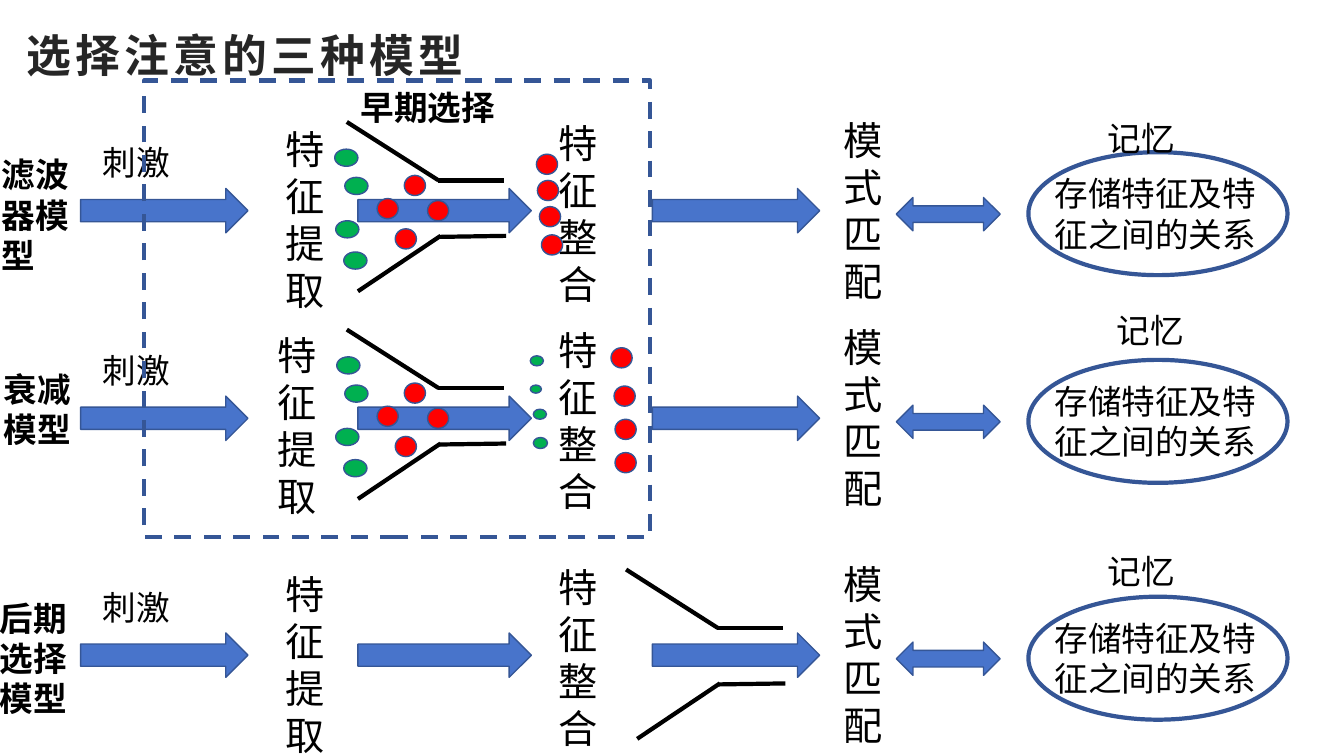
from pptx import Presentation
from pptx.dml.color import RGBColor
from pptx.enum.dml import MSO_LINE
from pptx.enum.lang import MSO_LANGUAGE_ID
from pptx.enum.shapes import MSO_CONNECTOR, MSO_SHAPE
from pptx.enum.text import MSO_ANCHOR, MSO_AUTO_SIZE
from pptx.oxml.ns import qn
from pptx.util import Pt
from lxml import etree

PX = 9144  # 100 px to the inch

STRAIGHT = MSO_CONNECTOR.STRAIGHT
ELLIPSE = MSO_SHAPE.OVAL
RECTANGLE = MSO_SHAPE.RECTANGLE
RIGHT_ARROW = MSO_SHAPE.RIGHT_ARROW
DOUBLE_ARROW = MSO_SHAPE.LEFT_RIGHT_ARROW
DASH = MSO_LINE.DASH
MIDDLE = MSO_ANCHOR.MIDDLE
GROW = MSO_AUTO_SIZE.SHAPE_TO_FIT_TEXT
CHINESE = MSO_LANGUAGE_ID.SIMPLIFIED_CHINESE

BLACK = RGBColor(0x00, 0x00, 0x00)
TITLE_GRAY = RGBColor(0x26, 0x26, 0x26)
BLUE = RGBColor(0x48, 0x74, 0xCB)
DARK_BLUE = RGBColor(0x35, 0x56, 0x96)
RED = RGBColor(0xFF, 0x00, 0x00)
GREEN = RGBColor(0x00, 0xB0, 0x50)

STAGE = {"size": Pt(28)}
LABEL = {"size": Pt(24)}
BOLD_LABEL = {"size": Pt(24), "bold": True}
TITLE = {"size": Pt(32), "bold": True}

RED_SIZE = (21, 20)
GREEN_SIZE = (23, 17)

# Each row: model name and its box, vertical shift from the first row,
# left and top of the feature extraction text, left and top of the memory label.
ROWS = [
    ("滤波器模型", (-8, 148, 100, 131), 0, (273, 119), (1089, 112)),
    ("衰减模型", (-6, 361, 96, 91), 206, (265, 324), (1098, 303)),
    ("后期选择模型", (-10, 588, 102, 131), 441, (273, 561), (1089, 542)),
]
ROW_ARROWS = [(80, 166), (355, 172), (647, 166)]

FUNNEL = [(0, 0, 91, 58), (11, 168, 93, 113),
          (90, 58, 156, 58), (92, 114, 158, 113)]

RED_IN_FUNNEL = [(374, 197), (401, 174), (392, 227), (424, 199)]
GREEN_IN_FUNNEL = [(342, 176), (333, 219), (341, 250)]
RED_PASSED = [(532, 153), (533, 179), (535, 205), (537, 233)]
RED_KEPT = [(606, 345), (609, 383), (610, 416), (610, 449)]
GREEN_WEAKENED = [(526, 353, 13, 10), (526, 382, 11, 8),
                  (529, 406, 13, 10), (529, 434, 14, 11)]


def scaled(*lengths):
    return [length * PX for length in lengths]


def add_text(slide, text, box, style, color=BLACK):
    shape = slide.shapes.add_textbox(*scaled(*box))
    frame = shape.text_frame
    frame.word_wrap = True
    frame.auto_size = GROW
    run = frame.paragraphs[0].add_run()
    run.text = text
    values = {"name": "Arial", "language_id": CHINESE, **style}
    for attribute, value in values.items():
        setattr(run.font, attribute, value)
    run.font.color.rgb = color
    return shape


def add_title(slide):
    shape = add_text(slide, "选择注意的三种模型", (16, -18, 1150, 145),
                     TITLE, TITLE_GRAY)
    frame = shape.text_frame
    frame.auto_size = MSO_AUTO_SIZE.NONE
    frame.vertical_anchor = MIDDLE
    run = frame.paragraphs[0].runs[0]
    run.font._element.set("spc", "300")


def add_figure(slide, kind, box, fill=None, line_width=1):
    """Add a preset shape with a dark blue outline; no fill unless given."""
    shape = slide.shapes.add_shape(kind, *scaled(*box))
    shape.shadow.inherit = False
    if fill is None:
        shape.fill.background()
    else:
        shape.fill.solid()
        shape.fill.fore_color.rgb = fill
    shape.line.color.rgb = DARK_BLUE
    shape.line.width = Pt(line_width)
    return shape


def add_funnel(slide, left, top):
    for x1, y1, x2, y2 in FUNNEL:
        line = slide.shapes.add_connector(
            STRAIGHT, *scaled(left + x1, top + y1, left + x2, top + y2))
        line.line.color.rgb = BLACK
        line.line.width = Pt(3)
        etree.SubElement(line._element.spPr, qn("a:effectLst"))


def add_dots(slide, positions, size, color, shift=0):
    for left, top in positions:
        add_figure(slide, ELLIPSE, (left, top + shift, *size), color)


def add_row(slide, name, name_box, shift, extraction, memory):
    add_text(slide, name, name_box, BOLD_LABEL)
    add_text(slide, "刺激", (92, 136 + shift, 127, 50), LABEL)
    stages = [("特征提取", extraction), ("特征整合", (544, 113 + shift)),
              ("模式匹配", (827, 110 + shift))]
    for text, position in stages:
        add_text(slide, text, (*position, 94, 199), STAGE)
    for left, width in ROW_ARROWS:
        add_figure(slide, RIGHT_ARROW, (left, 187 + shift, width, 44), BLUE)
    add_figure(slide, DOUBLE_ARROW, (889, 196 + shift, 103, 33), BLUE)
    add_text(slide, "存储特征及特征之间的关系", (1036, 167 + shift, 224, 91), LABEL)
    add_figure(slide, ELLIPSE, (1020, 151 + shift, 257, 122), line_width=3)
    add_text(slide, "记忆", (*memory, 233, 50), LABEL)


def add_early_selection(slide):
    for shift, first_green in ((0, (332, 148)), (206, (334, 148))):
        add_funnel(slide, 344, 121 + shift)
        add_dots(slide, RED_IN_FUNNEL, RED_SIZE, RED, shift)
        add_dots(slide, [first_green, *GREEN_IN_FUNNEL], GREEN_SIZE, GREEN, shift)
    add_dots(slide, RED_PASSED, RED_SIZE, RED)
    for box in GREEN_WEAKENED:
        add_figure(slide, ELLIPSE, box, GREEN)
    frame = add_figure(slide, RECTANGLE, (143, 80, 502, 453), line_width=3)
    frame.line.dash_style = DASH
    add_text(slide, "早期选择", (348, 81, 258, 50), BOLD_LABEL)
    add_dots(slide, RED_KEPT, RED_SIZE, RED)


def main():
    presentation = Presentation()
    presentation.slide_width, presentation.slide_height = scaled(1333, 750)
    slide = presentation.slides.add_slide(presentation.slide_layouts[6])
    add_title(slide)
    for row in ROWS:
        add_row(slide, *row)
    add_early_selection(slide)
    add_funnel(slide, 621, 565)
    presentation.save("out.pptx")


if __name__ == "__main__":
    main()
